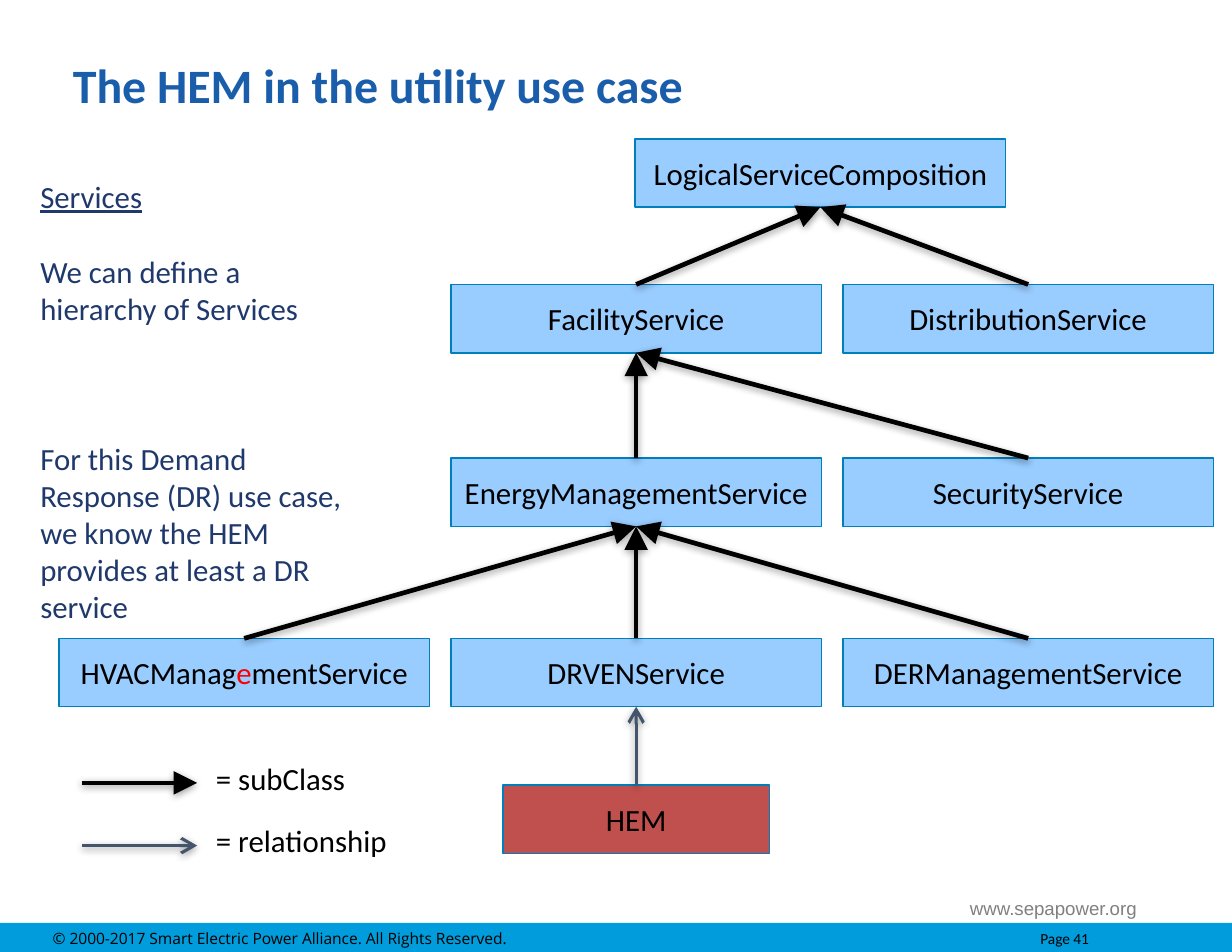
from dataclasses import dataclass

from lxml.etree import SubElement, fromstring
from pptx import Presentation
from pptx.dml.color import RGBColor
from pptx.enum.shapes import MSO_CONNECTOR as Connector, MSO_SHAPE as Preset
from pptx.enum.text import MSO_ANCHOR as Anchor, MSO_AUTO_SIZE as AutoSize, PP_ALIGN as Align
from pptx.oxml.ns import nsdecls, qn
from pptx.util import Inches, Pt

WIDTH, HEIGHT = 11, 8.5
FIRST_CENTER, COLUMN_PITCH = 2.18, 3.5
ROW_TOPS = (1.24, 2.54, 4.09, 5.7, 7.01)
BOX_WIDTH, BOX_HEIGHT = 3.31, 0.61
TEXT_SIZE = 19.8
SHADOW = (
    f'<a:effectLst {nsdecls("a")}><a:outerShdw blurRad="63500" dist="20320" dir="5400000" '
    'rotWithShape="0"><a:srgbClr val="000000"><a:alpha val="38000"/></a:srgbClr>'
    '</a:outerShdw></a:effectLst>'
)


@dataclass(frozen=True)
class Node:
    label: str
    column: float
    row: int
    fill: str = "99CCFF"
    width: float = BOX_WIDTH

    @property
    def center(self) -> float:
        return FIRST_CENTER + self.column * COLUMN_PITCH

    @property
    def top(self) -> float:
        return ROW_TOPS[self.row]


@dataclass(frozen=True)
class ArrowStyle:
    color: str
    weight: float
    head: str


SUBCLASS = ArrowStyle("000000", 3, "triangle")
RELATIONSHIP = ArrowStyle("44546A", 2, "arrow")

COMPOSITION = Node("LogicalServiceComposition", 1.47, 0)
FACILITY = Node("FacilityService", 1, 1)
DISTRIBUTION = Node("DistributionService", 2, 1)
ENERGY = Node("EnergyManagementService", 1, 2)
SECURITY = Node("SecurityService", 2, 2)
HVAC = Node("HVACManagementService", 0, 3)
DRVEN = Node("DRVENService", 1, 3)
DER = Node("DERManagementService", 2, 3)
HEM = Node("HEM", 1, 4, "C0504D", 2.38)

PARENTS = {
    FACILITY: COMPOSITION, DISTRIBUTION: COMPOSITION,
    ENERGY: FACILITY, SECURITY: FACILITY,
    HVAC: ENERGY, DRVEN: ENERGY, DER: ENERGY,
}
NODES = (COMPOSITION, *PARENTS, HEM)
LEGEND = (("= subClass", SUBCLASS, 6.99, 1.36), ("= relationship", RELATIONSHIP, 7.55, 1.74))
SERVICE_NOTES = (
    ("Services", 0),
    ("We can define a hierarchy of Services", 24.2),
    ("For this Demand Response (DR) use case, we know the HEM provides at least a DR service", 72.6),
)


def rgb(color: str) -> RGBColor:
    return RGBColor.from_string(color)


def style_font(font, size: float, color: str, name: str = "Calibri") -> None:
    font.size, font.name = Pt(size), name
    font.color.rgb = rgb(color)


def move(shape, left: float, top: float, width: float, height: float) -> None:
    shape.left, shape.top = Inches(left), Inches(top)
    shape.width, shape.height = Inches(width), Inches(height)


def draw_rectangle(slide, left: float, top: float, width: float, height: float, fill: str):
    rectangle = slide.shapes.add_shape(
        Preset.RECTANGLE, Inches(left), Inches(top), Inches(width), Inches(height))
    rectangle.shadow.inherit = False
    rectangle.fill.solid()
    rectangle.fill.fore_color.rgb = rgb(fill)
    rectangle.text_frame.vertical_anchor = Anchor.MIDDLE
    return rectangle


def draw_node(slide, node: Node) -> None:
    box = draw_rectangle(
        slide, node.center - node.width / 2, node.top, node.width, BOX_HEIGHT, node.fill)
    box.line.color.rgb, box.line.width = rgb("007FBD"), Pt(1)
    label = box.text_frame.paragraphs[0]
    label.alignment = Align.CENTER
    parts = ("HVACManag", "e", "mentService") if node is HVAC else (node.label,)
    for index, part in enumerate(parts):
        run = label.add_run()
        run.text = part
        style_font(run.font, TEXT_SIZE, "FF0000" if index == 1 else "000000")


def draw_arrow(slide, start: tuple[float, float], end: tuple[float, float],
               style: ArrowStyle) -> None:
    arrow = slide.shapes.add_connector(Connector.STRAIGHT, *map(Inches, (*start, *end)))
    arrow.line.color.rgb, arrow.line.width = rgb(style.color), Pt(style.weight)
    SubElement(arrow.line._get_or_add_ln(), qn("a:tailEnd"), type=style.head, w="lg", len="lg")
    arrow._element.spPr.append(fromstring(SHADOW))


def link(slide, child: Node, parent: Node, style: ArrowStyle) -> None:
    draw_arrow(slide, (child.center, child.top),
               (parent.center, parent.top + BOX_HEIGHT), style)


def add_label(slide, text: str, left: float, top: float, width: float, height: float):
    label = slide.shapes.add_textbox(Inches(left), Inches(top), Inches(width), Inches(height))
    label.text_frame.text = text
    return label.text_frame


def fill_title(title) -> None:
    move(title, WIDTH * 0.05, 0.35, 7.82, 0.8)
    title.text_frame.text = "The HEM in the utility use case"
    title.text_frame.vertical_anchor = Anchor.MIDDLE
    heading = title.text_frame.paragraphs[0]
    heading.alignment = Align.LEFT
    style_font(heading.runs[0].font, 30.8, "1A5EAB")
    heading.runs[0].font.bold = True


def fill_notes(body) -> None:
    move(body, 0.26, 1.54, 2.94, 4.1)
    frame = body.text_frame
    frame.auto_size = AutoSize.NONE
    frame.text = "\n".join(text for text, _ in SERVICE_NOTES)
    for paragraph, (_, gap) in zip(frame.paragraphs, SERVICE_NOTES):
        properties = paragraph._p.get_or_add_pPr()
        properties.set("marL", "0")
        properties.set("indent", "0")
        SubElement(properties, qn("a:buNone"))
        paragraph.space_before = Pt(gap)
        style_font(paragraph.runs[0].font, TEXT_SIZE, "20396D")
    frame.paragraphs[0].runs[0].font.underline = True


def draw_footer(slide) -> None:
    address = add_label(slide, "www.sepapower.org", 0.76, 7.88, 9.49, 0.45)
    address.word_wrap = True
    address.vertical_anchor = Anchor.MIDDLE
    address.paragraphs[0].alignment = Align.RIGHT
    style_font(address.paragraphs[0].runs[0].font, 12, "808080", "Arial")

    band = draw_rectangle(slide, 0, 8.24, WIDTH, 0.27, "019CDB")
    band.line.fill.background()
    band.text_frame.margin_left = Inches(0.47)
    notice = band.text_frame.paragraphs[0]
    notice.alignment = Align.LEFT
    stops = SubElement(notice._p.get_or_add_pPr(), qn("a:tabLst"))
    SubElement(stops, qn("a:tab"), pos=str(Inches(8.82)), algn="l")
    for text, size, font_name in (
        ("© 2000-2017 Smart Electric Power Alliance. All Rights Reserved.", 10, "Open Sans"),
        ("\tPage 41", 9.9, "Calibri"),
    ):
        run = notice.add_run()
        run.text = text
        style_font(run.font, size, "000000", font_name)


def main() -> None:
    deck = Presentation()
    deck.slide_width, deck.slide_height = Inches(WIDTH), Inches(HEIGHT)
    slide = deck.slides.add_slide(deck.slide_layouts[1])
    fill_title(slide.shapes.title)
    fill_notes(slide.placeholders[1])
    for node in NODES:
        draw_node(slide, node)
    for child, parent in PARENTS.items():
        link(slide, child, parent, SUBCLASS)
    link(slide, HEM, DRVEN, RELATIONSHIP)
    for meaning, style, middle, width in LEGEND:
        draw_arrow(slide, (0.73, middle), (1.76, middle), style)
        caption = add_label(slide, meaning, 1.83, middle - 0.26, width, 0.43)
        style_font(caption.paragraphs[0].runs[0].font, TEXT_SIZE, "000000")
    draw_footer(slide)
    deck.save("out.pptx")


if __name__ == "__main__":
    main()
